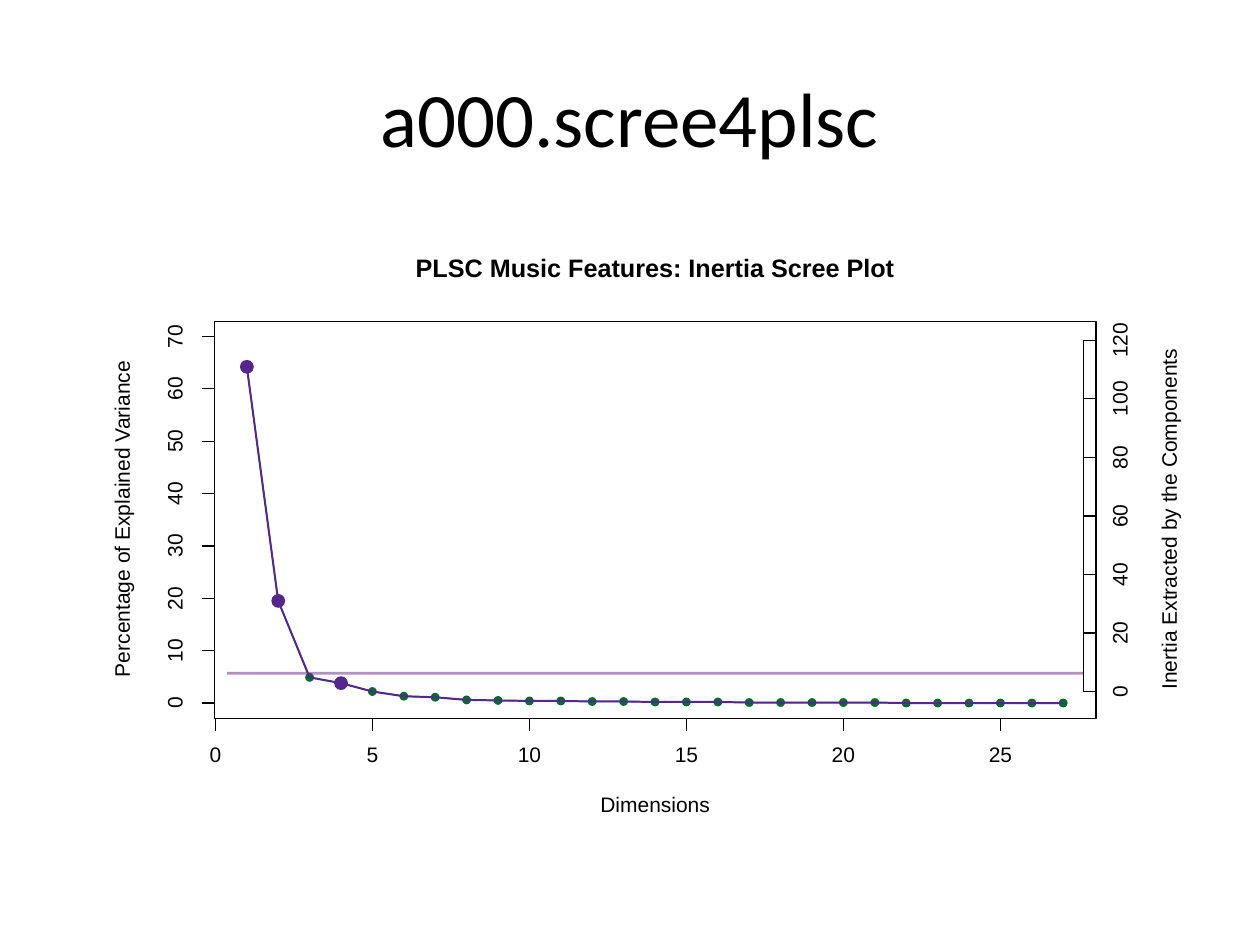
import pptx
import pptx.util
import pptx.dml.color
import pptx.enum.shapes
import pptx.enum.text
import pptx.oxml.ns
from lxml import etree

Inches, Pt = pptx.util.Inches, pptx.util.Pt
RGBColor = pptx.dml.color.RGBColor
MSO_SHAPE = pptx.enum.shapes.MSO_SHAPE
STRAIGHT = pptx.enum.shapes.MSO_CONNECTOR.STRAIGHT
qn = pptx.oxml.ns.qn

BLACK = RGBColor(0x00, 0x00, 0x00)
WHITE = RGBColor(0xFF, 0xFF, 0xFF)
GREEN = RGBColor(0x00, 0x6D, 0x2C)
PURPLE = RGBColor(0x54, 0x27, 0x8F)
ORCHID = RGBColor(0x68, 0x22, 0x8B)

HEADING = "a000.scree4plsc"
PLOT_TITLE = "PLSC Music Features: Inertia Scree Plot"
AXIS_TITLES = [
    ("Dimensions", 5.2, 6.4, 0.92, 0),
    ("Percentage of Explained Variance", 0.98, 4.12, 2.58, 270),
    ("Inertia Extracted by the Components", 9.29, 4.12, 2.77, 270),
]
EXPLAINED = [64.2, 19.5, 4.9, 3.8, 2.2, 1.3, 1.1, 0.6, 0.5, 0.4, 0.4, 0.3, 0.3,
             0.2, 0.2, 0.2, 0.1, 0.1, 0.1, 0.1, 0.1, 0, 0, 0, 0, 0, 0]
SIGNIFICANT = [1, 2, 4]
THRESHOLD = 5.7
LEFT, TOP, RIGHT, BOTTOM = 1.7, 2.55, 8.7, 5.7
TICK = 0.1


def scale(first, last, start, end):
    return lambda value: start + (value - first) * (end - start) / (last - first)


dimension_x = scale(0, 25, 1.71, 7.94)
variance_y = scale(0, 70, 5.58, 2.67)
inertia_y = scale(0, 120, 5.49, 2.7)

presentation = pptx.Presentation()
presentation.slide_width, presentation.slide_height = Inches(10), Inches(7.5)
slide = presentation.slides.add_slide(presentation.slide_layouts[6])


def add_text(shapes, text, x, y, width, height, size, rotation=0, **font):
    box = shapes.add_textbox(Inches(x - width / 2), Inches(y - height / 2),
                             Inches(width), Inches(height))
    box.rotation = rotation
    frame = box.text_frame
    layout = {"word_wrap": False, "margin_left": 0, "margin_right": 0,
              "margin_top": 0, "margin_bottom": 0,
              "vertical_anchor": pptx.enum.text.MSO_ANCHOR.MIDDLE}
    for key, value in layout.items():
        setattr(frame, key, value)
    paragraph = frame.paragraphs[0]
    paragraph.alignment = pptx.enum.text.PP_ALIGN.CENTER
    run = paragraph.add_run()
    run.text = text
    for key, value in {"name": "Arial", "size": Pt(size), **font}.items():
        setattr(run.font, key, value)
    run.font.color.rgb = BLACK
    return paragraph


def add_label(text, x, y, width, rotation=0, size=12, **font):
    paragraph = add_text(plot, text, x, y, width, size / 100, size, rotation, **font)
    paragraph.line_spacing = Pt(size)


def add_number(number, x, y, rotation=0):
    add_label(str(number), x, y, 0.1 * len(str(number)) + 0.02, rotation)


def add_line(x1, y1, x2, y2, color=BLACK, weight=0.75):
    line = plot.add_connector(STRAIGHT, Inches(x1), Inches(y1), Inches(x2), Inches(y2))
    line.line.color.rgb = color
    line.line.width = Pt(weight)
    etree.SubElement(line._element.spPr, qn("a:effectLst"))
    return line


def add_panel(kind, x, y, width, height, fill=None, outline=None):
    panel = plot.add_shape(kind, Inches(x), Inches(y), Inches(width), Inches(height))
    panel.shadow.inherit = False
    for part, color in ((panel.fill, fill), (panel.line.fill, outline)):
        if color is None:
            part.background()
        else:
            part.solid()
            part.fore_color.rgb = color
    if outline is not None:
        panel.line.width = Pt(0.75)


def add_curve(color, weight):
    start, *rest = [(Inches(x), Inches(y)) for x, y in points]
    builder = plot.build_freeform(*start)
    builder.add_line_segments(rest, close=False)
    curve = builder.convert_to_shape()
    curve.shadow.inherit = False
    curve.fill.background()
    curve.line.color.rgb = color
    curve.line.width = Pt(weight)


def add_dot(point, diameter, color):
    x, y = point
    add_panel(MSO_SHAPE.OVAL, x - diameter / 2, y - diameter / 2,
              diameter, diameter, color)


def add_vertical_axis(values, place, axis_x, tick_end, label_x):
    add_line(axis_x, place(values[0]), axis_x, place(values[-1]))
    for value in values:
        y = place(value)
        add_line(axis_x, y, tick_end, y)
        add_number(value, label_x, y, 270)


add_text(slide.shapes, HEADING, 5, 0.925, 9, 1.25, 44, name="Calibri")
plot = slide.shapes.add_group_shape().shapes
points = [(dimension_x(number), variance_y(share))
          for number, share in enumerate(EXPLAINED, 1)]

add_panel(MSO_SHAPE.RECTANGLE, 0.5, 1.75, 9, 4.95, WHITE, WHITE)
add_curve(GREEN, 0.75)

dimensions = range(0, 26, 5)
add_line(dimension_x(0), BOTTOM, dimension_x(25), BOTTOM)
for dimension in dimensions:
    x = dimension_x(dimension)
    add_line(x, BOTTOM, x, BOTTOM + TICK)
    add_number(dimension, x, 6)

add_vertical_axis(range(0, 71, 10), variance_y, LEFT, LEFT - TICK, 1.4)
add_panel(MSO_SHAPE.RECTANGLE, LEFT, TOP, RIGHT - LEFT, BOTTOM - TOP, outline=BLACK)
add_label(PLOT_TITLE, 5.2, 2.145, 3.9, size=14.4, bold=True)
for title in AXIS_TITLES:
    add_label(*title)

for point in points:
    add_dot(point, 0.07, GREEN)
add_curve(PURPLE, 1.12)
for number in SIGNIFICANT:
    add_dot(points[number - 1], 0.11, PURPLE)

threshold_y = variance_y(THRESHOLD)
threshold = add_line(LEFT + TICK, threshold_y, RIGHT - TICK, threshold_y, ORCHID, 1.5)
tint = threshold._element.spPr.find(".//" + qn("a:srgbClr"))
etree.SubElement(tint, qn("a:alpha"), val="50000")

add_vertical_axis(range(0, 121, 20), inertia_y, RIGHT - TICK, RIGHT, 8.9)

presentation.save("out.pptx")
